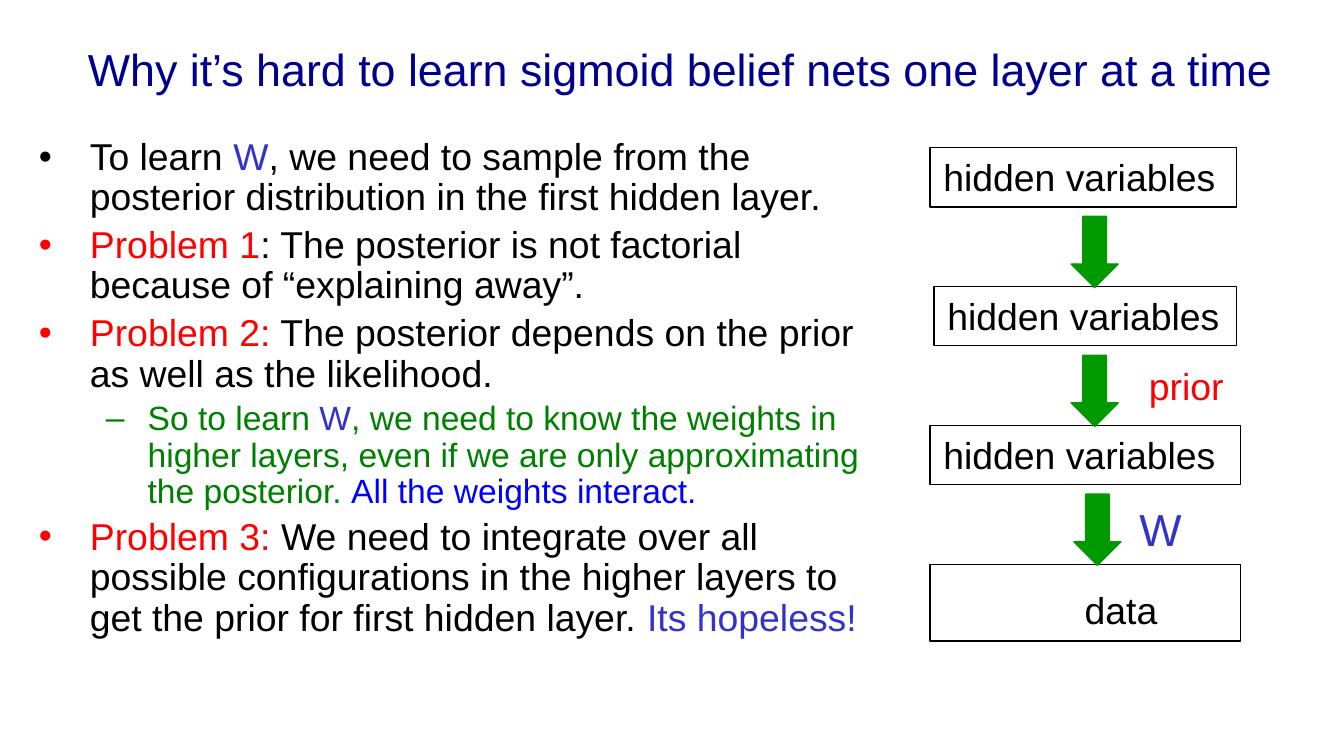
import pptx
import pptx.util
import pptx.dml.color
import pptx.enum.shapes
import pptx.enum.text
import pptx.oxml.ns
from lxml import etree

Inches, Pt = pptx.util.Inches, pptx.util.Pt
RGBColor = pptx.dml.color.RGBColor
MSO_SHAPE = pptx.enum.shapes.MSO_SHAPE
ANCHOR = pptx.enum.text.MSO_ANCHOR
ALIGN = pptx.enum.text.PP_ALIGN

BLACK = RGBColor(0x00, 0x00, 0x00)
NAVY = RGBColor(0x00, 0x00, 0x90)
INDIGO = RGBColor(0x33, 0x33, 0xCC)
BLUE = RGBColor(0x00, 0x00, 0xFF)
RED = RGBColor(0xFF, 0x00, 0x00)
GREEN = RGBColor(0x00, 0x80, 0x00)
ARROW_GREEN = RGBColor(0x00, 0x99, 0x00)

# Content
TITLE = "Why it’s hard to learn sigmoid belief nets one layer at a time"
BULLETS = [  # level, runs of (text, colour)
    (0, [("To learn ", BLACK), ("W", INDIGO),
         (", we need to sample from the posterior distribution in the first hidden layer.", BLACK)]),
    (0, [("Problem 1", RED),
         (": The posterior is not factorial because of “explaining away”.", BLACK)]),
    (0, [("Problem 2:", RED),
         (" The posterior depends on the prior as well as the likelihood.", BLACK)]),
    (1, [("So to learn ", GREEN), ("W", INDIGO),
         (", we need to know the weights in higher layers, even if we are only "
          "approximating the posterior. ", GREEN),
         ("All the weights interact.", BLUE)]),
    (0, [("Problem 3:", RED),
         (" We need to integrate over all possible configurations in the higher layers "
          "to get the prior for first hidden layer. ", BLACK),
         ("Its hopeless!", INDIGO)]),
]
LEVELS = [
    {"mark": "•", "size": 20, "left": 0.38, "hanging": 0.38},
    {"mark": "–", "size": 18, "left": 0.81, "hanging": 0.31},
]
LAYERS = [  # text, left, width, height
    ("hidden variables", 6.92, 2.28, 0.44),
    ("hidden variables", 6.95, 2.25, 0.44),
    ("hidden variables", 6.92, 2.31, 0.44),
    ("data", 6.92, 2.31, 0.57),
]
ARROW_LEFTS = [7.97, 7.97, 7.99]
ARROW_LABELS = [  # row, text, left, width, height, size, colour
    (1, "prior", 8.45, 1.14, 0.44, 20, RED),
    (2, "W", 8.38, 0.55, 0.5, 24, INDIGO),
]

# Slide of 16:9 and grid of the layer diagram
SLIDE_WIDTH = 10
SLIDE_HEIGHT = SLIDE_WIDTH * 9 / 16
FIRST_TOP, LAST_TOP = 1.1, 4.2
ROW_PITCH = (LAST_TOP - FIRST_TOP) / (len(LAYERS) - 1)
ARROW_OFFSET, ARROW_WIDTH, ARROW_HEIGHT = 0.51, 0.35, 0.53


def apply_format(target, values):
    for name, value in values.items():
        setattr(target, name, value)


def add_run(paragraph, text, size, color):
    run = paragraph.add_run()
    run.text = text
    apply_format(run.font, {"name": "Arial", "size": Pt(size)})
    run.font.color.rgb = color


def add_text_box(slide, left, top, width, height, **frame_format):
    box = slide.shapes.add_textbox(*map(Inches, (left, top, width, height)))
    apply_format(box.text_frame, {"word_wrap": True, **frame_format})
    return box.text_frame


def add_diagram_shape(slide, kind, left, top, width, height, line_color):
    shape = slide.shapes.add_shape(kind, *map(Inches, (left, top, width, height)))
    shape.shadow.inherit = False
    shape.line.color.rgb = line_color
    shape.line.width = Pt(0.75)
    return shape


def set_bullet(paragraph, level, color):
    properties = paragraph._p.get_or_add_pPr()
    properties.set("marL", str(Inches(level["left"])))
    properties.set("indent", str(-Inches(level["hanging"])))
    qn = pptx.oxml.ns.qn
    bullet_color = etree.SubElement(properties, qn("a:buClr"))
    etree.SubElement(bullet_color, qn("a:srgbClr"), val=str(color))
    etree.SubElement(properties, qn("a:buFont"), typeface="Arial")
    etree.SubElement(properties, qn("a:buChar"), char=level["mark"])


presentation = pptx.Presentation()
presentation.slide_width = Inches(SLIDE_WIDTH)
presentation.slide_height = Inches(SLIDE_HEIGHT)
slide = presentation.slides.add_slide(presentation.slide_layouts[6])

# Title
frame = add_text_box(slide, 0.4, 0.04, 9.32, 0.94, vertical_anchor=ANCHOR.MIDDLE)
frame.paragraphs[0].alignment = ALIGN.CENTER
add_run(frame.paragraphs[0], TITLE, 24, NAVY)

# Bulleted argument
frame = add_text_box(slide, 0.19, 0.98, 6.49, 4.64)
for index, (level_number, runs) in enumerate(BULLETS):
    level = LEVELS[level_number]
    paragraph = frame.add_paragraph() if index else frame.paragraphs[0]
    set_bullet(paragraph, level, runs[0][1])
    apply_format(paragraph, {
        "level": level_number,
        "line_spacing": 0.9,
        "space_before": Pt(0.2 * level["size"] if index else 0),
    })
    for text, color in runs:
        add_run(paragraph, text, level["size"], color)

# Layer boxes
for row, (text, left, width, height) in enumerate(LAYERS):
    box = add_diagram_shape(slide, MSO_SHAPE.RECTANGLE, left,
                            FIRST_TOP + row * ROW_PITCH, width, height, BLACK)
    box.fill.background()
    is_data = text == "data"
    apply_format(box.text_frame, {
        "word_wrap": True,
        "vertical_anchor": ANCHOR.BOTTOM if is_data else ANCHOR.TOP,
        "margin_left": Inches(1.15 if is_data else 0.1),
        "margin_bottom": Inches(0.07 if is_data else 0.05),
    })
    paragraph = box.text_frame.paragraphs[0]
    paragraph.alignment = ALIGN.LEFT
    add_run(paragraph, text, 20, BLACK)

# Arrows between layers
for row, left in enumerate(ARROW_LEFTS):
    arrow = add_diagram_shape(slide, MSO_SHAPE.DOWN_ARROW, left,
                              FIRST_TOP + row * ROW_PITCH + ARROW_OFFSET,
                              ARROW_WIDTH, ARROW_HEIGHT, ARROW_GREEN)
    arrow.fill.solid()
    arrow.fill.fore_color.rgb = ARROW_GREEN

# Arrow labels
for row, text, left, width, height, size, color in ARROW_LABELS:
    top = FIRST_TOP + row * ROW_PITCH + ARROW_OFFSET + 0.01
    frame = add_text_box(slide, left, top, width, height)
    add_run(frame.paragraphs[0], text, size, color)

presentation.save("out.pptx")
